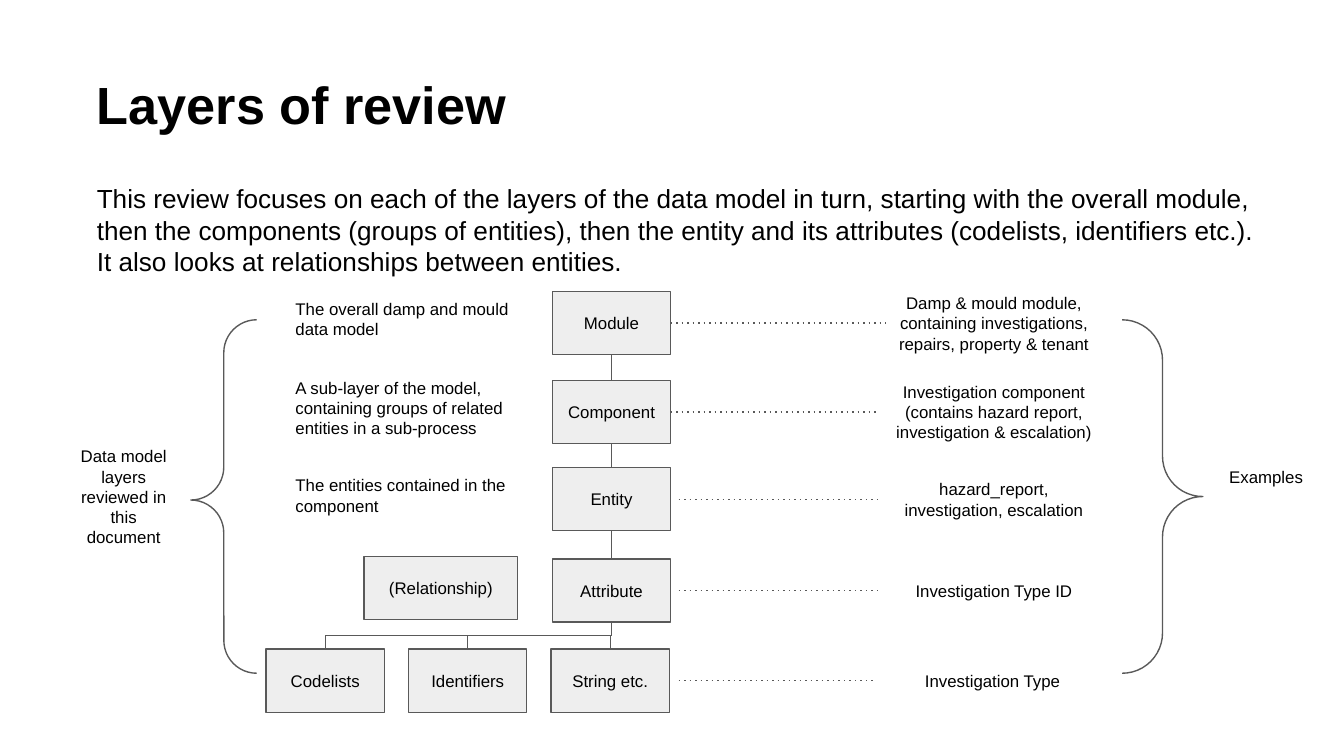
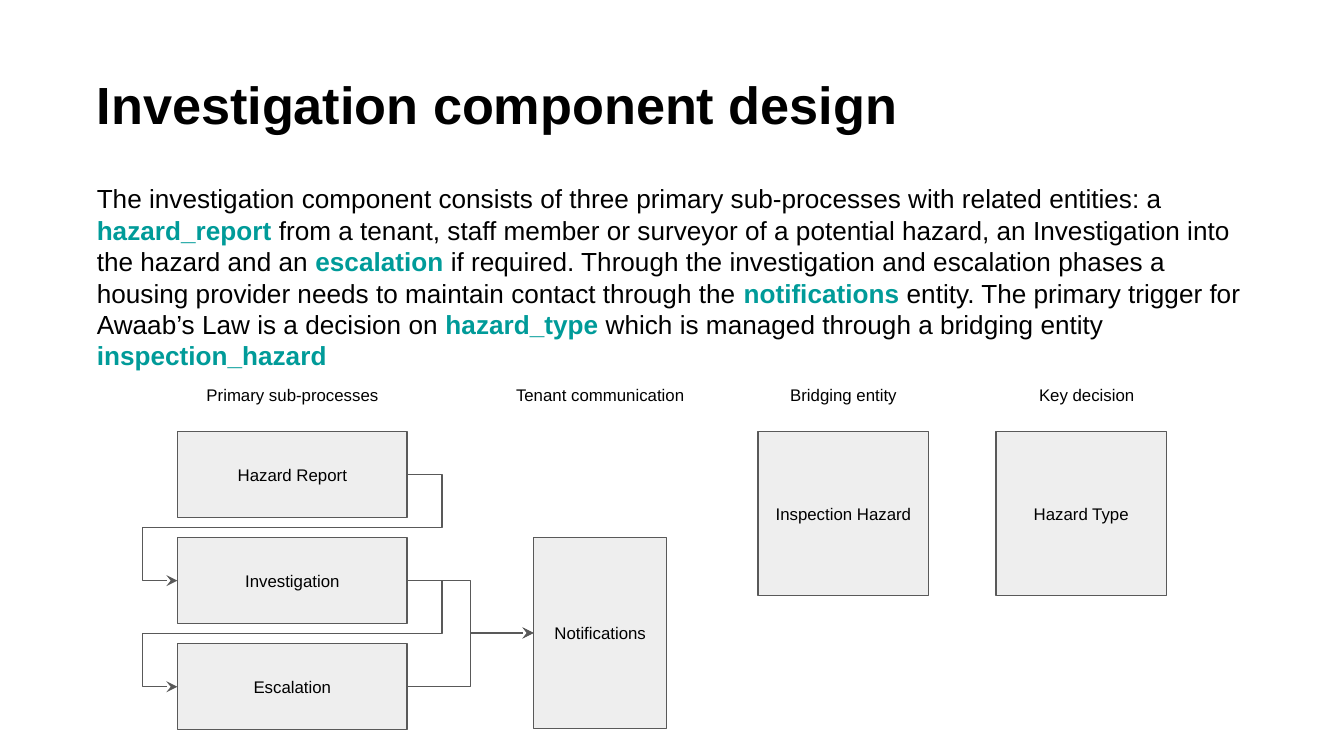
from pptx import Presentation
from pptx.dml.color import RGBColor as RGB
from pptx.enum.shapes import MSO_CONNECTOR as CONN, MSO_SHAPE as GEOM
from pptx.enum.text import MSO_ANCHOR as ANCHOR, MSO_AUTO_SIZE as FIT, PP_ALIGN as ALIGN
from pptx.oxml.ns import qn
from pptx.util import Inches, Pt
from lxml.etree import SubElement as Sub

HUES = {"text": "000000", "box": "EEEEEE", "line": "595959", "paper": "FFFFFF", "term": "009B99"}
FONT = "Arial"
TOP, LEFT, BASE, RIGHT = range(4)


def hue(name):
    return RGB.from_string(HUES[name])


def style(font, size, bold=False):
    font.name, font.size, font.bold = FONT, Pt(size), bold
    font.color.rgb = hue("text")


def frame(shape, anchor):
    text = shape.text_frame
    text.word_wrap, text.auto_size = True, FIT.NONE
    text.vertical_anchor = anchor
    text.margin_left = text.margin_top = text.margin_right = text.margin_bottom = Inches(0.1)
    return text


def place(shape, x, y, w, h):
    shape.left, shape.top, shape.width, shape.height = map(Inches, (x, y, w, h))


def page(deck, title, parts, size):
    slide = deck.slides.add_slide(deck.slide_layouts[1])
    head, body = slide.placeholders
    place(head, 0.62, 0.44, 8.74, 0.63)
    place(body, 0.62, 1.26, *size)
    para = frame(head, ANCHOR.TOP).paragraphs[0]
    para.text, para.alignment = title, ALIGN.LEFT
    style(para.font, 28, True)

    para = frame(body, ANCHOR.TOP).paragraphs[0]
    props = para._p.get_or_add_pPr()
    props.set("marL", "0")
    props.set("indent", "0")
    Sub(props, qn("a:buNone"))
    para.space_before, para.space_after = Pt(0), Pt(15)
    style(para.font, 14)
    for i, part in enumerate(parts):
        run = para.add_run()
        run.text = part
        if i % 2:
            run.font.bold = True
            run.font.color.rgb = hue("term")
    return slide


def write(shape, text, align):
    para = frame(shape, ANCHOR.MIDDLE).paragraphs[0]
    para.text, para.alignment = text, align
    style(para.font, 9)


def box(slide, text, x, y, w, h, fill="box", line="line"):
    shape = slide.shapes.add_shape(GEOM.RECTANGLE, *map(Inches, (x, y, w, h)))
    shape.shadow.inherit = False
    shape.fill.solid()
    shape.fill.fore_color.rgb = hue(fill)
    if line:
        shape.line.color.rgb = hue(line)
        shape.line.width = Pt(0.75)
    else:
        shape.line.fill.background()
    write(shape, text, ALIGN.CENTER)
    return shape


def note(slide, text, x, y, w, h, align=ALIGN.CENTER):
    write(slide.shapes.add_textbox(*map(Inches, (x, y, w, h))), text, align)


def brace(slide, geom, x, w, mid):
    shape = slide.shapes.add_shape(geom, *map(Inches, (x, 2.38, w, 2.63)))
    shape.shadow.inherit = False
    shape.fill.background()
    shape.line.color.rgb = hue("line")
    shape.line.width = Pt(0.75)
    shape.adjustments[0], shape.adjustments[1] = 0.5, mid


def wire(slide, kind, start, end):
    line = slide.shapes.add_connector(kind, *start, *end)
    line.line.color.rgb = hue("line")
    line.line.width = Pt(0.75)
    Sub(line._element.spPr, qn("a:effectLst"))
    return line


def side(shape, site):
    across = {LEFT: 0, RIGHT: shape.width}.get(site, shape.width // 2)
    down = {TOP: 0, BASE: shape.height}.get(site, shape.height // 2)
    return shape.left + across, shape.top + down


def bend(slide, a, out, b, into):
    line = wire(slide, CONN.ELBOW, side(a, out), side(b, into))
    line.begin_connect(a, out)
    line.end_connect(b, into)
    return line


def drop(slide, a, b):
    line = bend(slide, a, BASE, b, TOP)
    (x1, y1), (x2, y2) = side(a, BASE), side(b, TOP)
    wide, high = y2 - y1, x1 - x2
    line.left, line.top = (x1 + x2 - wide) // 2, (y1 + y2 - high) // 2
    line.width, line.height = wide, high
    form = line._element.spPr.find(qn("a:xfrm"))
    form.attrib.pop("flipH", None)
    form.set("rot", "5400000")


def arrow(slide, a, b, loop=False):
    line = bend(slide, a, RIGHT, b, LEFT)
    Sub(line.line._get_or_add_ln(), qn("a:tailEnd"), type="stealth")
    if loop:
        geom = line._element.spPr.find(qn("a:prstGeom"))
        geom.set("prst", "bentConnector5")
        guides = geom.find(qn("a:avLst"))
        if guides is None:
            guides = Sub(geom, qn("a:avLst"))
        for i, value in enumerate((-15200, 50000, 115200), 1):
            Sub(guides, qn("a:gd"), name=f"adj{i}", fmla=f"val {value}")


def dots(slide, a, b, gap, over):
    x1, y1 = side(a, RIGHT)
    x2, y2 = side(b, LEFT)
    line = wire(slide, CONN.STRAIGHT, (x1 + Inches(gap), y1), (x2 + Inches(over), y2))
    Sub(line.line._get_or_add_ln(), qn("a:prstDash"), val="dot")
    if not gap:
        line.begin_connect(a, RIGHT)
    if not over:
        line.end_connect(b, LEFT)


def layers(deck):
    slide = page(deck, "Layers of review", [
        "This review focuses on each of the layers of the data model in turn, starting with the "
        "overall module, then the components (groups of entities), then the entity and its "
        "attributes (codelists, identifiers etc.). It also looks at relationships between entities.",
    ], (8.91, 1.11))
    wide, high = 0.88, 0.47
    rows = [
        ("Module", 2.17, "The overall damp and mould data model",
         "Damp & mould module, containing investigations, repairs, property & tenant", 0, 0.06),
        ("Component", 2.83,
         "A sub-layer of the model, containing groups of related entities in a sub-process",
         "Investigation component (contains hazard report, investigation & escalation)", 0, 0),
        ("Entity", 3.48, "The entities contained in the component",
         "hazard_report, investigation, escalation", 0.06, 0),
        ("Attribute", 4.16, "", "Investigation Type ID", 0.06, 0),
    ]
    chain = []
    for name, y, about, case, gap, over in rows:
        layer = box(slide, name, 4.11, y, wide, high)
        label = box(slide, case, 6.53, y, 1.73, high, "paper", "paper")
        dots(slide, layer, label, gap, over)
        if about:
            note(slide, about, 2.1, y - 0.03, 2.01, high, ALIGN.LEFT)
        chain.append(layer)
    box(slide, "(Relationship)", 2.71, 4.14, 1.14, high)
    leaves = [box(slide, name, 1.98 + 1.06 * i, 4.83, wide, high)
              for i, name in enumerate(("Codelists", "Identifiers", "String etc."))]
    label = box(slide, "Investigation Type", 6.52, 4.83, 1.73, high, "paper", "paper")
    dots(slide, leaves[-1], label, 0.07, 0)
    for a, b in zip(chain, chain[1:]):
        drop(slide, a, b)
    for leaf in leaves:
        drop(slide, chain[-1], leaf)
    brace(slide, GEOM.LEFT_BRACE, 1.42, 0.49, 0.51)
    brace(slide, GEOM.RIGHT_BRACE, 8.35, 0.6, 0.5)
    note(slide, "Data model layers reviewed in this document", 0.48, 3.2, 0.88, 0.99)
    box(slide, "Examples", 9.03, 3.31, 0.78, high, "paper", None)


def design(deck):
    slide = page(deck, "Investigation component design", [
        "The investigation component consists of three primary sub-processes with related entities: a ",
        "hazard_report",
        " from a tenant, staff member or surveyor of a potential hazard, an Investigation into "
        "the hazard and an ",
        "escalation",
        " if required. Through the investigation and escalation phases a housing provider needs "
        "to maintain contact through the ",
        "notifications",
        " entity. The primary trigger for Awaab’s Law is a decision on ",
        "hazard_type",
        " which is managed through a bridging entity ",
        "inspection_hazard",
    ], (8.74, 3.33))
    heads = [("Primary sub-processes", 1.32), ("Tenant communication", 3.61),
             ("Bridging entity", 5.42), ("Key decision", 7.23)]
    for name, x in heads:
        note(slide, name, x, 2.62, 1.71, 0.64)
    steps = [box(slide, name, 1.32, 3.21 + 0.79 * i, 1.71, 0.64)
             for i, name in enumerate(("Hazard Report", "Investigation", "Escalation"))]
    notice = box(slide, "Notifications", 3.97, 4, 0.99, 1.42)
    for name, x in (("Inspection Hazard", 5.64), ("Hazard Type", 7.41)):
        box(slide, name, x, 3.21, 1.27, 1.22)
    for a, b in zip(steps, steps[1:]):
        arrow(slide, a, b, loop=True)
        arrow(slide, b, notice)


def main():
    deck = Presentation()
    deck.slide_width = Inches(10)
    deck.slide_height = deck.slide_width * 9 // 16
    layers(deck)
    design(deck)
    deck.save("out.pptx")


if __name__ == "__main__":
    main()
